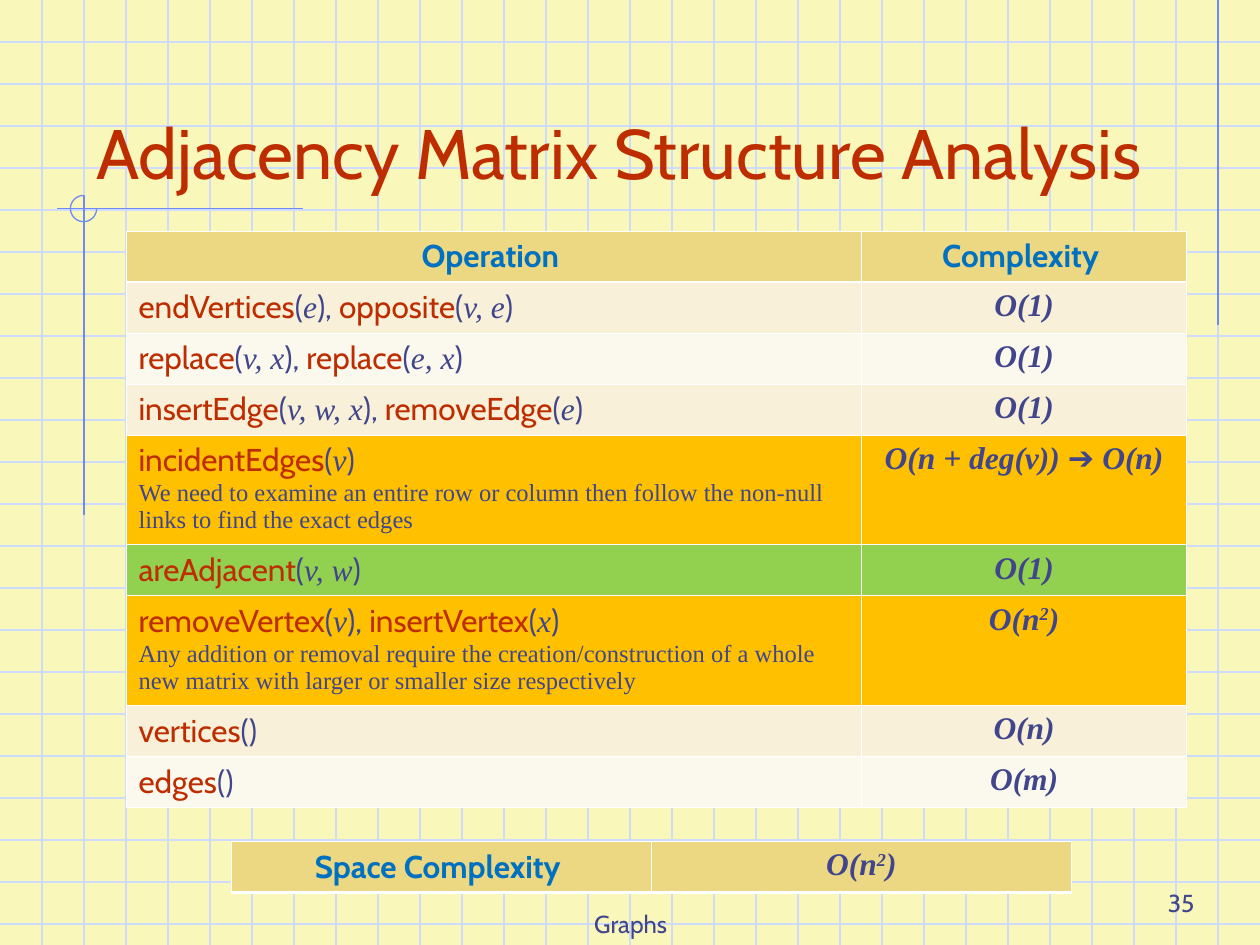
from lxml.etree import SubElement
from pptx import Presentation
from pptx.dml.color import RGBColor
from pptx.enum.shapes import MSO_CONNECTOR, MSO_SHAPE
from pptx.enum.text import MSO_ANCHOR, PP_ALIGN
from pptx.oxml.ns import qn
from pptx.util import Cm, Pt

WIDE, HIGH, STEP = 25.4, 19.05, 25.4 / 30
SANS, SERIF = "Cabin", "Times New Roman"
INKS = {
    "page": "F9F8BA", "grid": "CFDBFD", "rule": "6F89F7", "text": "40458C",
    "red": "BE2D00", "blue": "0070C0", "edge": "FFFFFF", "head": "ECD882",
    "sand": "F8F0D8", "pale": "FBF8ED", "gold": "FFC000", "green": "92D050",
}
MATH = {"name": SERIF, "size": Pt(18), "bold": True, "italic": True}
STYLES = {
    "title": ({"name": SANS, "size": Pt(40)}, "red"),
    "foot": ({"name": SANS, "size": Pt(14)}, "text"),
    "head": ({"name": SANS, "size": Pt(18), "bold": True}, "blue"),
    "call": ({"name": SANS, "size": Pt(18)}, "red"),
    "mark": ({"name": SANS, "size": Pt(18)}, "text"),
    "args": ({"name": SERIF, "size": Pt(18), "italic": True}, "text"),
    "note": ({"name": SERIF, "size": Pt(14)}, "text"),
    "math": (MATH, "text"),
    "power": (MATH, "text"),
    "arrow": ({**MATH, "name": "Arial"}, "text"),
}
SQUARE = [("O(n", "math"), ("2", "power"), (")", "math")]
LINEAR = [("O(n + deg(v)) ", "math"), ("➔", "arrow"), (" O(n)", "math")]
ROWS = [
    ([("endVertices", "e"), ("opposite", "v, e")], "", [("O(1)", "math")], "sand"),
    ([("replace", "v, x"), ("replace", "e, x")], "", [("O(1)", "math")], "pale"),
    ([("insertEdge", "v, w, x"), ("removeEdge", "e")], "", [("O(1)", "math")], "sand"),
    ([("incidentEdges", "v")],
     "We need to examine an entire row or column then follow the non-null "
     "links to find the exact edges", LINEAR, "gold"),
    ([("areAdjacent", "v, w")], "", [("O(1)", "math")], "green"),
    ([("removeVertex", "v"), ("insertVertex", "x")],
     "Any addition or removal require the creation/construction of a whole "
     "new matrix with larger or smaller size respectively", SQUARE, "gold"),
    ([("vertices", "")], "", [("O(n)", "math")], "sand"),
    ([("edges", "")], "", [("O(m)", "math")], "pale"),
]


def ink(key):
    return RGBColor.from_string(INKS[key])


def add_line(slide, x1, y1, x2, y2, key):
    line = slide.shapes.add_connector(
        MSO_CONNECTOR.STRAIGHT, Cm(x1), Cm(y1), Cm(x2), Cm(y2))
    line.line.color.rgb = ink(key)
    line.line.width = Pt(0.75)
    SubElement(line._element.spPr, qn("a:effectLst"))


def add_arc(slide, left, top, size):
    arc = slide.shapes.add_shape(
        MSO_SHAPE.ARC, Cm(left), Cm(top), Cm(size), Cm(size))
    arc.adjustments[0], arc.adjustments[1] = 0, 162
    arc.shadow.inherit = False
    arc.fill.background()
    arc.line.color.rgb = ink("rule")
    arc.line.width = Pt(0.75)


def write(para, parts, align):
    para.alignment = align
    for text, style in parts:
        run = para.add_run()
        run.text = text
        form, key = STYLES[style]
        for name, value in form.items():
            setattr(run.font, name, value)
        run.font.color.rgb = ink(key)
        if style == "power":
            run._r.get_or_add_rPr().set("baseline", "30000")


def add_text(slide, box, text, style, align):
    frame = slide.shapes.add_textbox(*map(Cm, box)).text_frame
    frame.word_wrap = True
    frame.vertical_anchor = MSO_ANCHOR.BOTTOM
    write(frame.paragraphs[0], [(text, style)], align)


def fill_cell(cell, paras, key, align, top=0.45, base=0.45):
    props = cell._tc.get_or_add_tcPr()
    for side, width in (("L", 0.45), ("R", 0.45), ("T", top), ("B", base)):
        edge = SubElement(props, qn("a:ln" + side), w=str(Pt(width)))
        paint = SubElement(edge, qn("a:solidFill"))
        SubElement(paint, qn("a:srgbClr"), val=INKS["edge"])
    cell.fill.solid()
    cell.fill.fore_color.rgb = ink(key)
    frame = cell.text_frame
    for i, parts in enumerate(paras):
        para = frame.add_paragraph() if i else frame.paragraphs[0]
        write(para, parts, align)


def add_grid(slide, left, top, cols, rows):
    grid = slide.shapes.add_table(
        len(rows), len(cols), Cm(left), Cm(top), Cm(sum(cols)), Cm(sum(rows))).table
    grid.first_row = grid.horz_banding = False
    for col, width in zip(grid.columns, cols):
        col.width = Cm(width)
    for row, height in zip(grid.rows, rows):
        row.height = Cm(height)
    return grid


def fill_head(grid, heads):
    for i, parts in enumerate(heads):
        fill_cell(grid.cell(0, i), [parts], "head", PP_ALIGN.CENTER, base=1.47)


def call_parts(calls):
    parts = []
    for i, (name, args) in enumerate(calls):
        end = "), " if i < len(calls) - 1 else ")"
        parts.append((name, "call"))
        if args:
            parts += [("(", "mark"), (args, "args"), (end, "mark")]
        else:
            parts.append(("(" + end, "mark"))
    return parts


def add_costs(slide):
    tall = [2.21 if note else 1.03 for _, note, _, _ in ROWS]
    grid = add_grid(slide, 2.54, 4.66, [14.83, 6.55], [1.02] + tall)
    fill_head(grid, [[("Operation ", "head")], [("Complexity ", "head")]])
    for i, (calls, note, cost, key) in enumerate(ROWS, 1):
        paras = [call_parts(calls)]
        if note:
            paras.append([(note, "note")])
        top = 1.47 if i == 1 else 0.45
        fill_cell(grid.cell(i, 0), paras, key, PP_ALIGN.LEFT, top)
        fill_cell(grid.cell(i, 1), [cost], key, PP_ALIGN.CENTER, top)


def add_space(slide):
    grid = add_grid(slide, 4.66, 16.96, [8.47, 8.47], [1.03])
    fill_head(grid, [[("Space Complexity ", "head")], SQUARE])


def add_back(slide):
    slide.background.fill.solid()
    slide.background.fill.fore_color.rgb = ink("page")
    for i in range(1, 23):
        add_line(slide, 0, i * STEP, WIDE, i * STEP, "grid")
    for i in range(1, 30):
        add_line(slide, i * STEP, 0, i * STEP, HIGH, "grid")
    add_line(slide, 29 * STEP, 0, 29 * STEP, 6.55, "rule")
    add_line(slide, 6.1, 4.2, 1.14, 4.2, "rule")
    add_line(slide, 2 * STEP, 3.94, 2 * STEP, 10.39, "rule")
    add_arc(slide, 1.42, 3.94, 0.53)


def main():
    deck = Presentation()
    deck.slide_width, deck.slide_height = Cm(WIDE), Cm(HIGH)
    slide = deck.slides.add_slide(deck.slide_layouts[6])
    add_back(slide)
    add_text(slide, (8.69, 17.78, 8.05, 1.27), "Graphs", "foot", PP_ALIGN.CENTER)
    add_text(slide, (19.05, 17.35, 5.28, 1.27), "35", "foot", PP_ALIGN.RIGHT)
    add_text(slide, (1.7, 0.84, 23.06, 3.18),
             "Adjacency Matrix Structure Analysis", "title", PP_ALIGN.LEFT)
    add_costs(slide)
    add_space(slide)
    deck.save("out.pptx")


if __name__ == "__main__":
    main()
